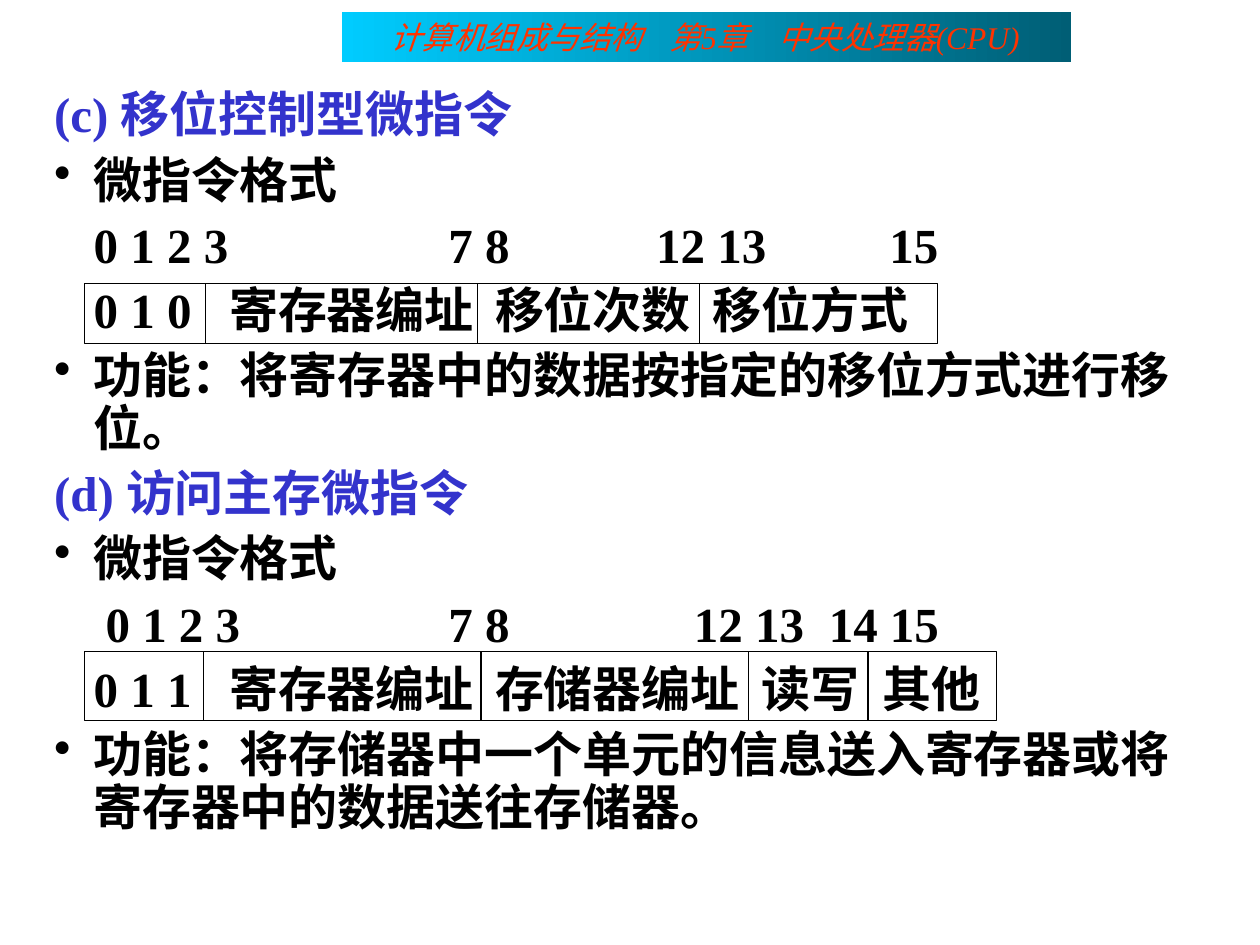
from dataclasses import dataclass

from lxml.etree import SubElement
from pptx import Presentation
from pptx.dml.color import RGBColor
from pptx.enum.shapes import MSO_CONNECTOR, MSO_SHAPE
from pptx.enum.text import MSO_ANCHOR, PP_ALIGN
from pptx.oxml.ns import qn
from pptx.util import Cm, Pt

COLORS = {
    "banner_dark": "005E75",
    "banner_light": "00CCFF",
    "banner_text": "FF3300",
    "heading": "3333CC",
    "ink": "000000",
}
FONT = "Times New Roman"
HANGING = 0.79


@dataclass(frozen=True)
class Line:
    text: str
    color: str = "ink"
    bullet: bool = False
    tabs: tuple[float, ...] = ()


@dataclass(frozen=True)
class FieldFrame:
    """Outline of an instruction format; dividers are x positions in cm."""
    left: float
    top: float
    width: float
    height: float
    dividers: tuple[float, ...]


LINES = (
    Line("(c) 移位控制型微指令", "heading"),
    Line("微指令格式", bullet=True),
    Line("\t0 1 2 3\t7 8\t12 13\t15", tabs=(0.8, 7.95, 12.14, 16.84)),
    Line("\t0 1 0\t寄存器编址\t移位次数\t移位方式", tabs=(0.8, 3.53, 8.89, 13.28)),
    Line("功能：将寄存器中的数据按指定的移位方式进行移位。", bullet=True),
    Line("(d) 访问主存微指令", "heading"),
    Line("微指令格式", bullet=True),
    Line("\t0 1 2 3\t7 8\t12 13\t14 15", tabs=(1.04, 7.95, 12.9, 15.62)),
    Line("\t0 1 1\t寄存器编址\t存储器编址\t读写\t其他",
         tabs=(0.8, 3.53, 8.89, 14.27, 16.71)),
    Line("功能：将存储器中一个单元的信息送入寄存器或将寄存器中的数据送往存储器。",
         bullet=True),
)
FRAMES = (
    FieldFrame(1.7, 5.72, 17.2, 1.2, (4.14, 9.63, 14.1)),
    FieldFrame(1.7, 13.13, 18.39, 1.4, (4.1, 9.7, 15.09, 17.5)),
)


def rgb(name: str) -> RGBColor:
    return RGBColor.from_string(COLORS[name])


def add_tabs(paragraph, stops: tuple[float, ...]) -> None:
    tab_list = SubElement(paragraph._p.get_or_add_pPr(), qn("a:tabLst"))
    for stop in stops:
        SubElement(tab_list, qn("a:tab"), pos=str(Cm(stop)), algn="l")


def style_runs(paragraph, size: int, color: str, bold: bool = False,
               italic: bool = False) -> None:
    for run in paragraph.runs:
        run.font.name = FONT
        run.font.size = Pt(size)
        run.font.bold = bold
        run.font.italic = italic
        run.font.color.rgb = rgb(color)


def add_banner(slide) -> None:
    banner = slide.shapes.add_shape(
        MSO_SHAPE.RECTANGLE, Cm(6.9), Cm(0.24), Cm(14.7), Cm(1.01))
    banner.shadow.inherit = False
    banner.line.fill.background()
    banner.fill.gradient()
    banner.fill.gradient_angle = 180
    for stop, color in zip(banner.fill.gradient_stops,
                           ("banner_dark", "banner_light")):
        stop.color.rgb = rgb(color)
    frame = banner.text_frame
    frame.word_wrap = True
    frame.vertical_anchor = MSO_ANCHOR.TOP
    frame.margin_left = Cm(0.97)
    frame.margin_right = Cm(0.25)
    frame.margin_top = frame.margin_bottom = Cm(0.13)
    frame.text = "计算机组成与结构\t第5章\t中央处理器(CPU)"
    title = frame.paragraphs[0]
    add_tabs(title, (5.63, 7.82))
    title.alignment = PP_ALIGN.LEFT
    style_runs(title, 18, "banner_text", italic=True)


def write_line(paragraph, line: Line, first: bool) -> None:
    paragraph.text = line.text
    properties = paragraph._p.get_or_add_pPr()
    if line.tabs:
        add_tabs(paragraph, line.tabs)
    else:
        properties.set("marL", str(Cm(HANGING)))
        properties.set("indent", str(-Cm(HANGING)))
    if line.bullet:
        SubElement(properties, qn("a:buChar"), char="•")
    paragraph.alignment = PP_ALIGN.LEFT
    paragraph.line_spacing = 0.9
    paragraph.space_before = Pt(0 if first else 7)
    style_runs(paragraph, 28, line.color, bold=True)


def add_body(slide) -> None:
    body = slide.shapes.add_textbox(Cm(0.84), Cm(1.7), Cm(23.29), Cm(16.31))
    frame = body.text_frame
    frame.word_wrap = True
    for index, line in enumerate(LINES):
        paragraph = frame.add_paragraph() if index else frame.paragraphs[0]
        write_line(paragraph, line, first=index == 0)


def add_field_frame(slide, frame: FieldFrame) -> None:
    outline = slide.shapes.add_shape(
        MSO_SHAPE.RECTANGLE, Cm(frame.left), Cm(frame.top),
        Cm(frame.width), Cm(frame.height))
    outline.shadow.inherit = False
    outline.fill.background()
    outline.line.color.rgb = rgb("ink")
    outline.line.width = Pt(0.75)
    for x in frame.dividers:
        divider = slide.shapes.add_connector(
            MSO_CONNECTOR.STRAIGHT, Cm(x), Cm(frame.top),
            Cm(x), Cm(frame.top + frame.height))
        divider.line.color.rgb = rgb("ink")
        divider.line.width = Pt(0.75)
        SubElement(divider._element.spPr, qn("a:effectLst"))


def main() -> None:
    deck = Presentation()
    deck.slide_width, deck.slide_height = Cm(25.4), Cm(19.05)
    slide = deck.slides.add_slide(deck.slide_layouts[6])
    add_banner(slide)
    add_body(slide)
    for frame in FRAMES:
        add_field_frame(slide, frame)
    deck.save("out.pptx")


if __name__ == "__main__":
    main()
